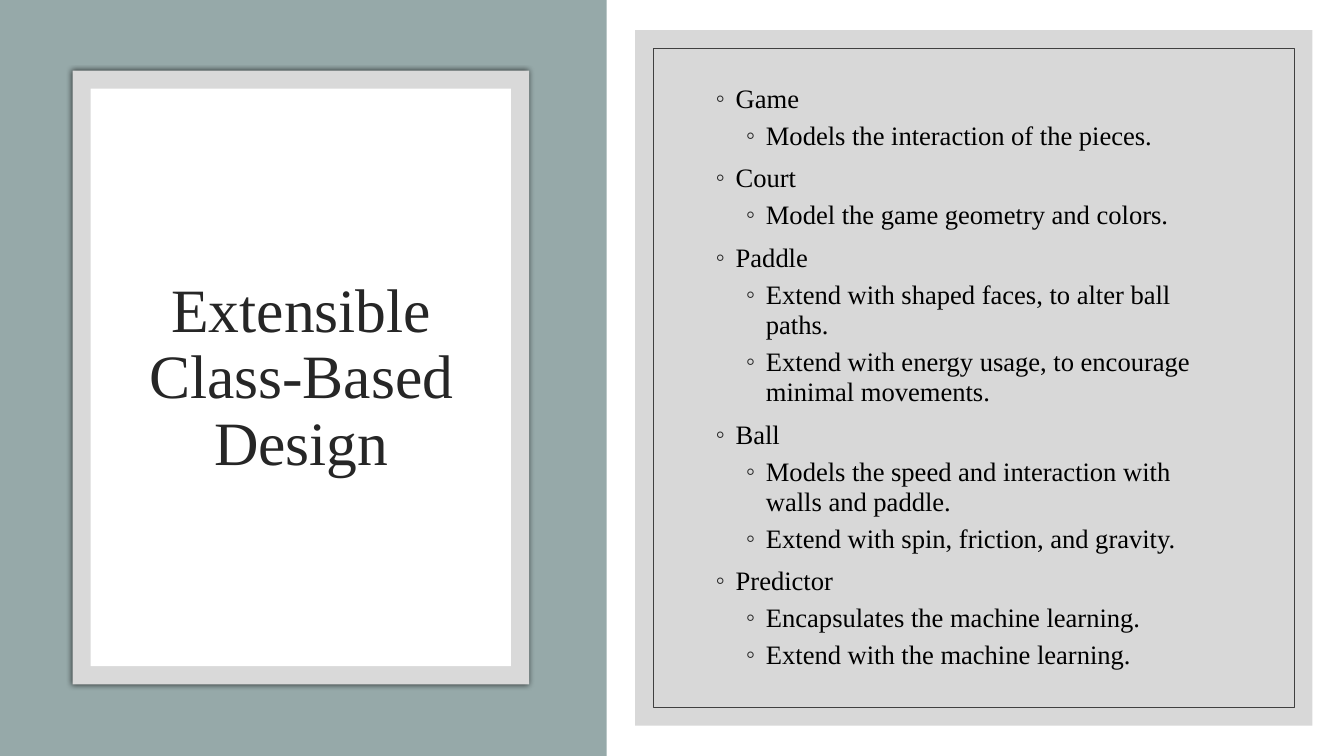
from lxml.etree import SubElement
from pptx import Presentation
from pptx.dml.color import RGBColor
from pptx.enum.shapes import MSO_SHAPE
from pptx.enum.text import MSO_ANCHOR, PP_ALIGN
from pptx.oxml.ns import qn
from pptx.util import Inches, Pt

WHITE = RGBColor(0xFF, 0xFF, 0xFF)
BLACK = RGBColor(0x00, 0x00, 0x00)
SAGE = RGBColor(0x96, 0xA9, 0xA9)
LIGHT_GRAY = RGBColor(0xD9, 0xD9, 0xD9)
PANEL_GRAY = RGBColor(0xBF, 0xBF, 0xBF)
RULE_GRAY = RGBColor(0x40, 0x40, 0x40)
INK = RGBColor(0x26, 0x26, 0x26)

CELL = 0.06  # inches per grid column and row
COLUMNS, ROWS = 222.22, 125
BORDER = 3  # cells between an outer frame and its inner one

CLASSES = {
    "Game": ["Models the interaction of the pieces."],
    "Court": ["Model the game geometry and colors."],
    "Paddle": ["Extend with shaped faces, to alter ball paths.",
               "Extend with energy usage, to encourage minimal movements."],
    "Ball": ["Models the speed and interaction with walls and paddle.",
             "Extend with spin, friction, and gravity."],
    "Predictor": ["Encapsulates the machine learning.",
                  "Extend with the machine learning."],
}


def cells(count):
    return Inches(count * CELL)


def inset(area):
    left, top, width, height = area
    return left + BORDER, top + BORDER, width - 2 * BORDER, height - 2 * BORDER


class SlideBuilder:
    font = "Times New Roman"
    bullet = "◦"

    def __init__(self, slide):
        self.slide = slide

    def panel(self, area, fill=None, line=None, opacity=None, shadow=False):
        panel = self.slide.shapes.add_shape(MSO_SHAPE.RECTANGLE, *map(cells, area))
        panel.shadow.inherit = False
        if fill is None:
            panel.fill.background()
        else:
            panel.fill.solid()
            panel.fill.fore_color.rgb = fill
        if line is None:
            panel.line.fill.background()
        else:
            panel.line.color.rgb = line
            panel.line.width = Pt(0.5)
        properties = panel.element.spPr
        if opacity:
            color = properties.find(qn("a:solidFill"))[0]
            SubElement(color, qn("a:alpha"), val=str(opacity * 1000))
        if shadow:
            effects = properties.find(qn("a:effectLst"))
            outer = SubElement(effects, qn("a:outerShdw"), blurRad=str(Pt(4)),
                               dist="0", dir="0", algn="ctr", rotWithShape="0")
            color = SubElement(outer, qn("a:srgbClr"), val=str(BLACK))
            SubElement(color, qn("a:alpha"), val="66000")

    def text_frame(self, area):
        frame = self.slide.shapes.add_textbox(*map(cells, area)).text_frame
        frame.word_wrap = True
        frame.vertical_anchor = MSO_ANCHOR.MIDDLE
        return frame

    def run(self, paragraph, text, size, color):
        run = paragraph.add_run()
        run.text = text
        run.font.name = self.font
        run.font.size = Pt(size)
        run.font.color.rgb = color

    def title(self, area, text):
        paragraph = self.text_frame(area).paragraphs[0]
        paragraph.alignment = PP_ALIGN.CENTER
        paragraph.line_spacing = 0.9
        self.run(paragraph, text, 44, INK)

    def outline(self, area, topics):
        frame = self.text_frame(area)
        entries = [entry for topic, details in topics.items()
                   for entry in [(0, topic)] + [(1, detail) for detail in details]]
        for index, (level, text) in enumerate(entries):
            paragraph = frame.add_paragraph() if index else frame.paragraphs[0]
            paragraph.level = level
            paragraph.line_spacing = 0.94
            paragraph.space_before = Pt(5 if level else 9)
            self.mark(paragraph, 0.2 + 0.3 * level)
            self.run(paragraph, text, 19, BLACK)

    def mark(self, paragraph, margin):
        properties = paragraph._p.get_or_add_pPr()
        properties.set("marL", str(Inches(margin)))
        properties.set("indent", str(Inches(-0.2)))
        color = SubElement(properties, qn("a:buClr"))
        SubElement(color, qn("a:srgbClr"), val=str(INK))
        SubElement(properties, qn("a:buFont"), typeface=self.font)
        SubElement(properties, qn("a:buChar"), char=self.bullet)


def main():
    deck = Presentation()
    deck.slide_width, deck.slide_height = cells(COLUMNS), cells(ROWS)
    builder = SlideBuilder(deck.slides.add_slide(deck.slide_layouts[6]))

    # Backdrop
    builder.panel((0, 0, COLUMNS, ROWS), WHITE)
    builder.panel((0, 0, 100.33, ROWS), SAGE)

    # Framed title card
    title_card = (12, 11.67, 75.5, 101.5)
    builder.panel(title_card, LIGHT_GRAY, shadow=True)
    builder.panel(inset(title_card), WHITE)
    builder.title((18, 21.67, 63.67, 81.83), "Extensible Class-Based Design")

    # Class outline
    class_panel = (105, 5, 112, 115)
    builder.panel(class_panel, PANEL_GRAY, opacity=60)
    builder.panel(inset(class_panel), line=RULE_GRAY)
    builder.outline((116.67, 17, 88.83, 90.83), CLASSES)

    deck.save("out.pptx")


if __name__ == "__main__":
    main()
